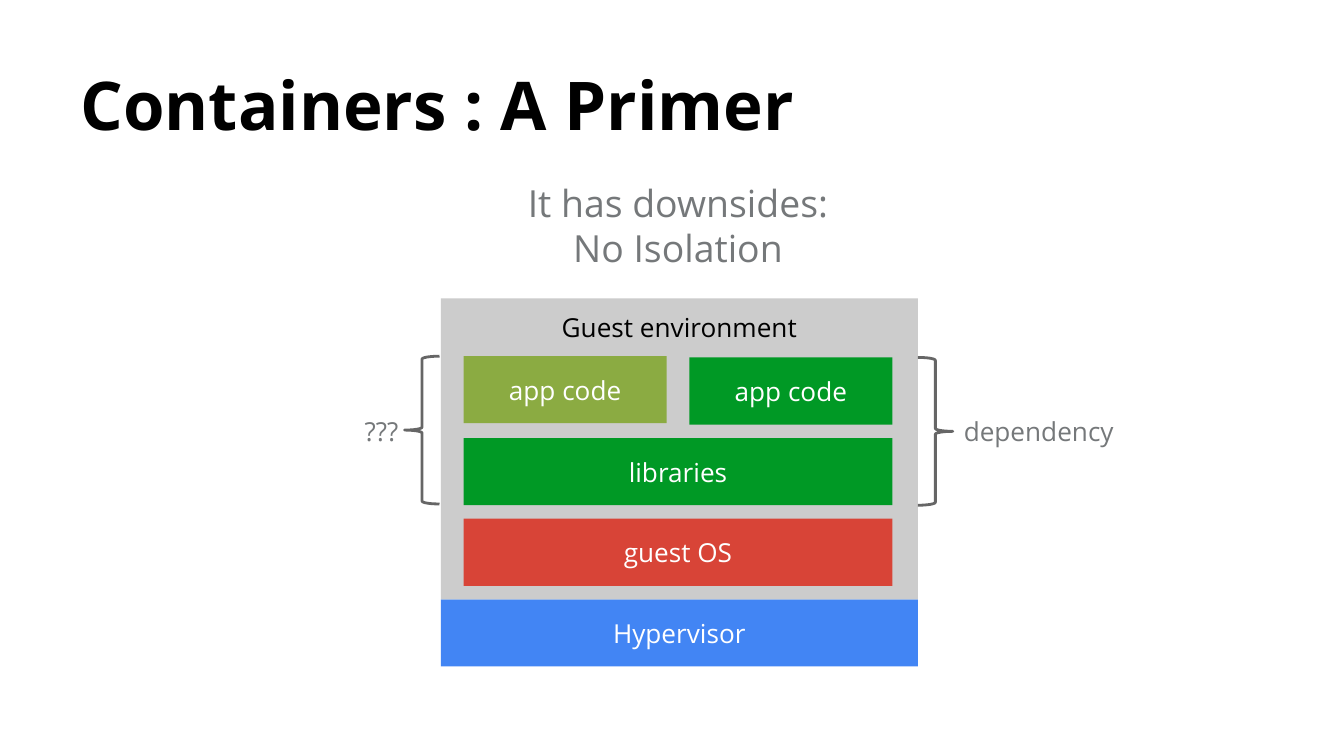
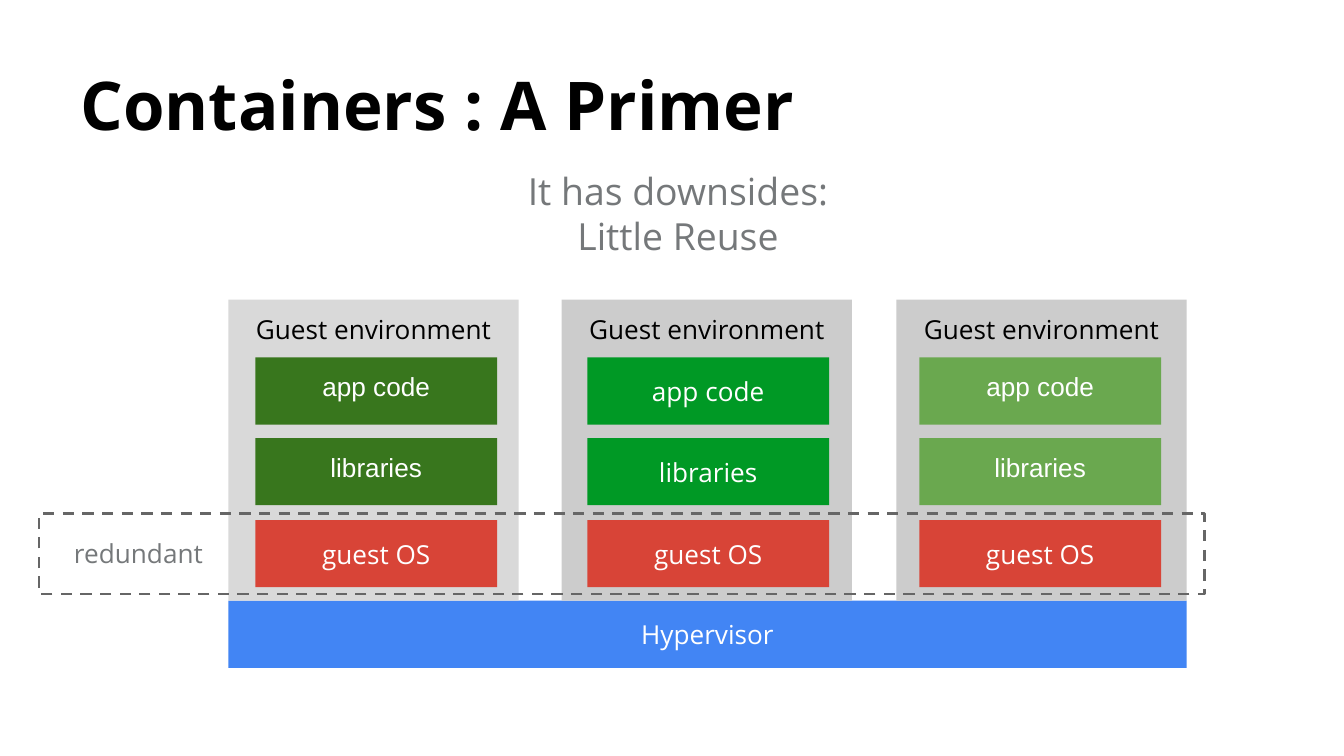
import pptx
import pptx.util
import pptx.dml.color
import pptx.enum.dml
import pptx.enum.shapes
import pptx.enum.text

Inches = pptx.util.Inches
Shape = pptx.enum.shapes.MSO_SHAPE
Anchor = pptx.enum.text.MSO_ANCHOR
Align = pptx.enum.text.PP_ALIGN

COLORS = {
    "black": "000000", "white": "FFFFFF", "text": "75787A", "line": "666666",
    "blue": "4285F4", "red": "D84437", "gray": "CCCCCC", "pale": "D9D9D9",
    "green": "009925", "olive": "8BAB42", "dark": "38761D", "light": "6AA84F",
}
SANS = "Open Sans"
WIDE = 10
HIGH = 0.5  # block height


def write(slide, lines, at, fill=None, color="white", size=14, font=SANS,
          bold=False, align=Align.CENTER, anchor=Anchor.MIDDLE):
    """Add a filled block, or a plain text box when fill is None."""
    place = [Inches(n) for n in at]
    if fill:
        box = slide.shapes.add_shape(Shape.RECTANGLE, *place)
        box.shadow.inherit = False
        box.fill.solid()
        box.fill.fore_color.rgb = pptx.dml.color.RGBColor.from_string(COLORS[fill])
        box.line.fill.background()
    else:
        box = slide.shapes.add_textbox(*place)
    frame = box.text_frame
    frame.word_wrap = True
    frame.vertical_anchor = anchor
    frame.margin_left = frame.margin_right = Inches(0.1)
    frame.margin_top = frame.margin_bottom = Inches(0.1)
    for i, line in enumerate(lines.split("\n")):
        par = frame.add_paragraph() if i else frame.paragraphs[0]
        par.alignment = align
        run = par.add_run()
        run.text = line
        run.font.name = font
        run.font.size = pptx.util.Pt(size)
        run.font.bold = bold
        run.font.color.rgb = pptx.dml.color.RGBColor.from_string(COLORS[color])


def outline(slide, kind, at):
    """Add an unfilled shape with the shared gray line."""
    form = slide.shapes.add_shape(kind, *[Inches(n) for n in at])
    form.shadow.inherit = False
    form.fill.background()
    form.line.color.rgb = pptx.dml.color.RGBColor.from_string(COLORS["line"])
    form.line.width = pptx.util.Pt(1.5)
    return form


deck = pptx.Presentation()
deck.slide_width, deck.slide_height = Inches(WIDE), Inches(WIDE * 9 / 16)

slides = []
for point, top in [("No Isolation", 1.24), ("Little Reuse", 1.15)]:
    slide = deck.slides.add_slide(deck.slide_layouts[6])
    write(slide, "Containers : A Primer", (0.5, 0.23, 9, 0.94), color="black",
          size=36, bold=True, align=Align.LEFT, anchor=Anchor.BOTTOM)
    write(slide, "It has downsides:\n" + point, (2.79, top, 4.51, 0.99),
          color="text", size=20, anchor=Anchor.TOP)
    slides.append(slide)
alone, reuse = slides

# Slide 1: two apps share one guest
write(alone, "Hypervisor", (3.28, 4.46, 3.55, HIGH), "blue")
write(alone, "Guest environment", (3.28, 2.22, 3.55, 2.24), "gray", "black",
      anchor=Anchor.TOP)
for label, left, top, wide, fill in [
    ("app code", 5.13, 2.66, 1.51, "green"),
    ("libraries", 3.45, 3.26, 3.19, "green"),
    ("guest OS", 3.45, 3.86, 3.19, "red"),
]:
    write(alone, label, (left, top, wide, HIGH), fill)
for label, left, brace, top, turn in [
    ("dependency", 6.7, 6.83, 2.66, 0),
    ("???", 1.81, 3.01, 2.65, 180),
]:
    form = outline(alone, Shape.RIGHT_BRACE, (brace, top, 0.26, 1.1))
    form.adjustments[0] = 0.083
    form.rotation = turn
    write(alone, label, (left, 3, 2.06, 0.41), color="text")
write(alone, "app code", (3.45, 2.65, 1.51, HIGH), "olive")

# Slide 2: three guests, each with its own stack
write(reuse, "Hypervisor", (1.7, 4.47, 7.13, HIGH), "blue")
for left, inner, back, fill, font, anchor in [
    (1.7, 1.9, "pale", "dark", "Arial", Anchor.TOP),
    (4.18, 4.37, "gray", "green", SANS, Anchor.MIDDLE),
    (6.67, 6.84, "gray", "light", "Arial", Anchor.TOP),
]:
    write(reuse, "Guest environment", (left, 2.23, 2.16, 2.24), back, "black",
          anchor=Anchor.TOP)
    for label, top in [("app code", 2.66), ("libraries", 3.26)]:
        write(reuse, label, (inner, top, 1.8, HIGH), fill,
              font=font, anchor=anchor)
    write(reuse, "guest OS", (inner, 3.87, 1.8, HIGH), "red")
write(reuse, "redundant", (0.29, 3.91, 1.48, 0.41), color="text")
frame = outline(reuse, Shape.RECTANGLE, (0.29, 3.82, 8.67, 0.6))
frame.line.dash_style = pptx.enum.dml.MSO_LINE.DASH

deck.save("out.pptx")
